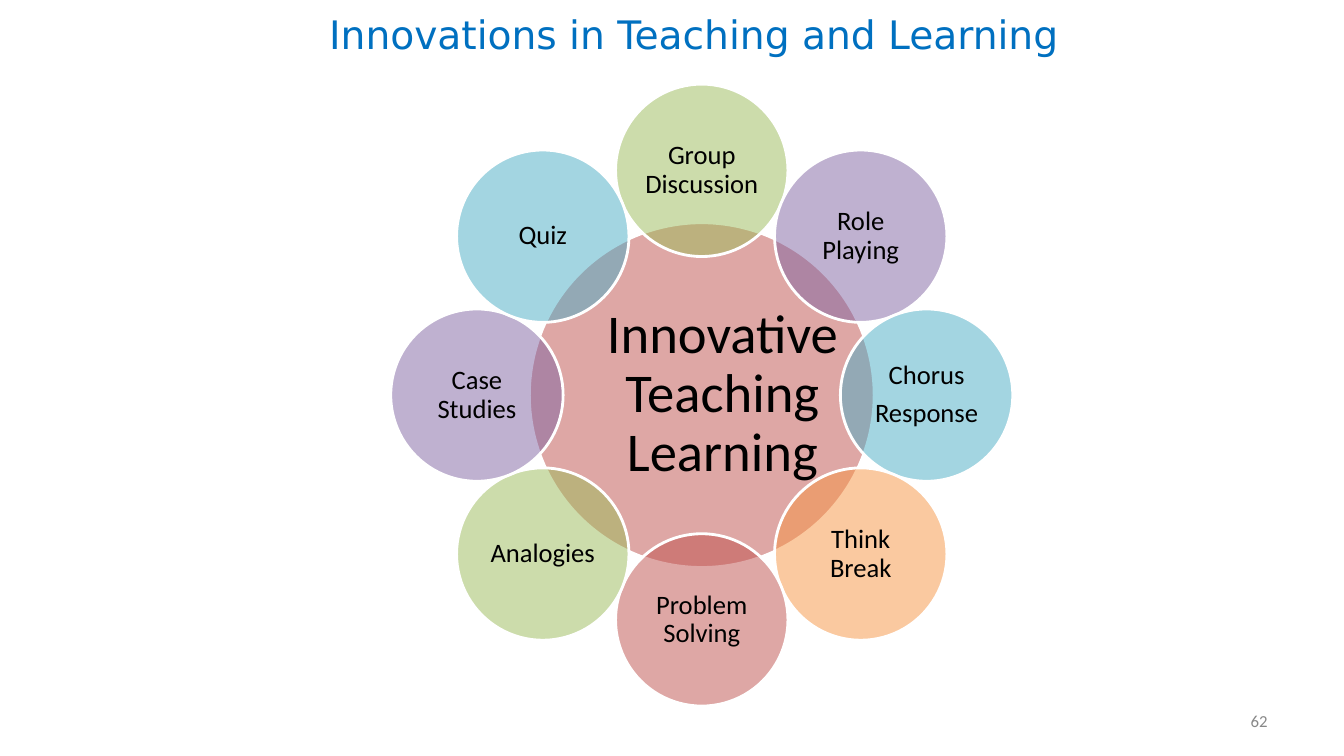
"""Build a slide showing eight teaching methods in a ring around one hub."""
from math import cos, radians, sin

from lxml.etree import SubElement
from pptx import Presentation
from pptx.dml.color import RGBColor
from pptx.enum.shapes import MSO_SHAPE as Preset
from pptx.enum.text import MSO_ANCHOR as Anchor, PP_ALIGN as Align
from pptx.oxml.ns import qn
from pptx.util import Inches, Pt

COLORS = {
    "red": "BF504D", "green": "9BBB59", "purple": "8064A2", "teal": "49ACC5",
    "orange": "F79543", "white": "FFFFFF", "black": "000000",
    "grey": "888888", "blue": "0070C0",
}
HUB_X, HUB_Y = 6.96, 3.92
HUB_SIZE, PETAL_SIZE, ORBIT = 3.42, 1.71, 2.23
METHODS = [
    ("Group Discussion", "green"), ("Role Playing", "purple"),
    ("Chorus\nResponse", "teal"), ("Think Break", "orange"),
    ("Problem Solving", "red"), ("Analogies", "green"),
    ("Case Studies", "purple"), ("Quiz", "teal"),
]


def write(shape, text, size, color="black", font="Calibri", align=Align.CENTER,
          inset=(0.1, 0.05), spacing=None, gap=0):
    frame = shape.text_frame
    frame.text = text
    frame.word_wrap = True
    frame.vertical_anchor = Anchor.MIDDLE
    frame.margin_left = frame.margin_right = Inches(inset[0])
    frame.margin_top = frame.margin_bottom = Inches(inset[1])
    for index, paragraph in enumerate(frame.paragraphs):
        paragraph.alignment = align
        if spacing:
            paragraph.line_spacing = spacing
        if index:
            paragraph.space_before = Pt(gap)
        paragraph.font.size = Pt(size)
        paragraph.font.name = font
        paragraph.font.color.rgb = RGBColor.from_string(COLORS[color])


def add_circle(x, y, size, color):
    circle = slide.shapes.add_shape(
        Preset.OVAL, Inches(x - size / 2), Inches(y - size / 2), Inches(size), Inches(size))
    circle.shadow.inherit = False
    circle.fill.solid()
    circle.fill.fore_color.rgb = RGBColor.from_string(COLORS[color])
    tint = circle.fill._xPr.find(qn("a:solidFill"))[0]
    SubElement(tint, qn("a:alpha"), val="50000")
    circle.line.color.rgb = RGBColor.from_string(COLORS["white"])
    circle.line.width = Pt(2)
    return circle


deck = Presentation()
deck.slide_width, deck.slide_height = Inches(13.33), Inches(7.5)
slide = deck.slides.add_slide(deck.slide_layouts[5])

page_number = slide.shapes.add_textbox(Inches(9.56), Inches(6.95), Inches(3.11), Inches(0.4))
write(page_number, "62", 12, color="grey", align=Align.RIGHT)

heading = slide.shapes.title
heading.left, heading.top = Inches(2.42), 0
heading.width, heading.height = Inches(8.92), Inches(0.67)
write(heading, "Innovations in Teaching and Learning", 28, color="blue", font="DejaVu Sans")

add_circle(HUB_X, HUB_Y, HUB_SIZE, "red")
hub_label = slide.shapes.add_textbox(Inches(5.75), Inches(2.71), Inches(2.83), Inches(2.42))
write(hub_label, "Innovative Teaching Learning", 39, inset=(0.05, 0.05), spacing=0.9)

for position, (method, color) in enumerate(METHODS):
    angle = radians(position * 360 / len(METHODS))
    petal = add_circle(HUB_X + ORBIT * sin(angle), HUB_Y - ORBIT * cos(angle), PETAL_SIZE, color)
    write(petal, method, 19, inset=(0.03, 0.03), spacing=0.9, gap=6.7)

deck.save("out.pptx")
